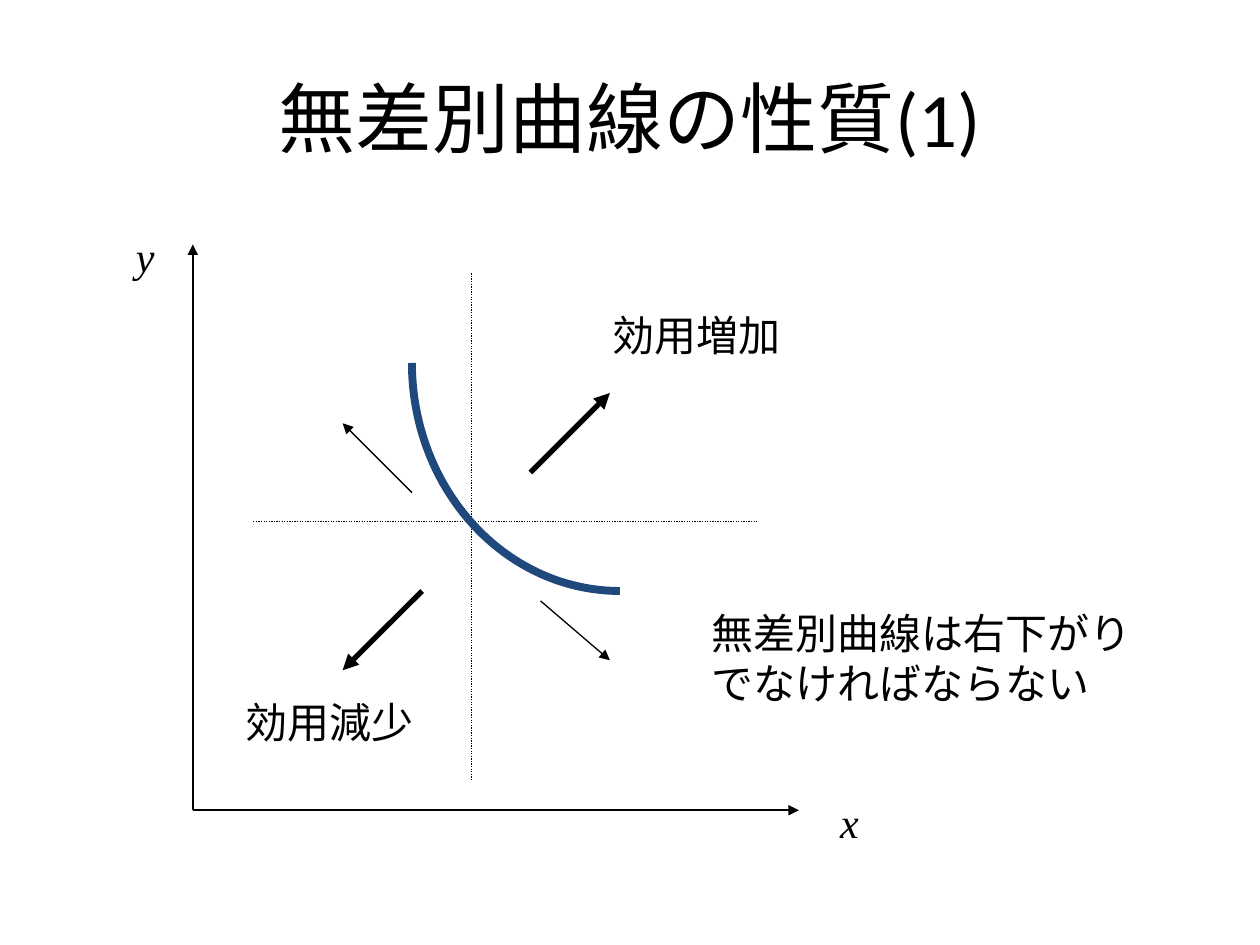
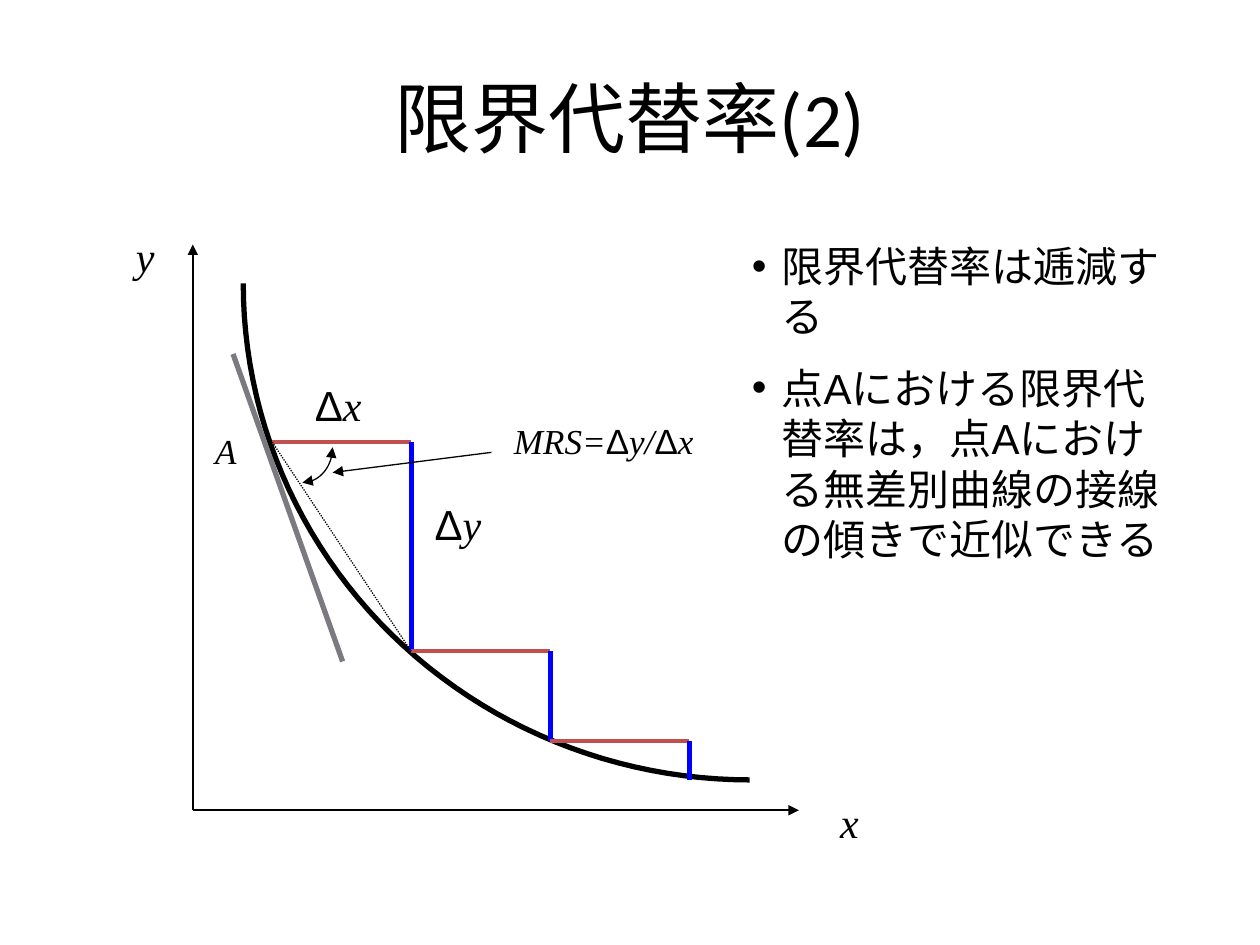
"""Build two slides on indifference curves and the marginal rate of substitution."""
import math
from itertools import pairwise

from lxml import etree
from pptx import Presentation
from pptx import util as u
from pptx.dml.color import RGBColor
from pptx.enum import dml, shapes, text
from pptx.oxml.ns import qn

COLORS = {"ink": "000000", "curve": "1F497D", "run": "C0504D", "rise": "0000FF", "tangent": "7C7981"}
SANS = {"name": "Arial", "italic": False}
SERIF = {"name": "Times New Roman", "italic": True}
TITLE = {"name": "Calibri", "italic": False}
DOTTED = {"width": 0.75, "dash": dml.MSO_LINE.ROUND_DOT}
THICK_ARROW = {"width": 3, "tail": True}
THIN_ARROW = {"width": 0.75, "tail": True}
CURVE_STEPS = 48


class Sketch:
    """Hold the deck, its shared style and the current page."""

    def __init__(self):
        self.deck = Presentation()
        self.deck.slide_width, self.deck.slide_height = u.Pt(720), u.Pt(540)
        self.page = None

    def new_page(self, title):
        self.page = self.deck.slides.add_slide(self.deck.slide_layouts[6])
        self.label((36, 21.6, 648, 90), [[(title, TITLE)]], size=44,
                   align=text.PP_ALIGN.CENTER, anchor=text.MSO_ANCHOR.MIDDLE)
        origin = (110.2, 463)
        self.line(origin, (456.5, 463), tail=True)
        self.line(origin, (110.2, 139.7), tail=True)
        self.label((473, 451.4, 28.1, 36), [[("x", SERIF)]])
        self.label((70.6, 128.2, 28.1, 36), [[("y", SERIF)]])

    def label(self, place, paragraphs, size=24, align=text.PP_ALIGN.LEFT,
              anchor=text.MSO_ANCHOR.TOP, bullets=False):
        box = self.page.shapes.add_textbox(*map(u.Pt, place))
        frame = box.text_frame
        frame.word_wrap, frame.vertical_anchor = True, anchor
        for index, spans in enumerate(paragraphs):
            para = frame.add_paragraph() if index else frame.paragraphs[0]
            para.alignment = align
            para.space_before = u.Pt(size / 2 if index else 0)
            if bullets:
                self.bullet(para)
            for words, style in spans:
                span = para.add_run()
                span.text = words
                span.font.color.rgb = RGBColor.from_string(COLORS["ink"])
                for key, value in {**style, "size": u.Pt(size)}.items():
                    setattr(span.font, key, value)

    def bullet(self, para, indent=17):
        properties = para._p.get_or_add_pPr()
        properties.set("marL", str(u.Pt(indent)))
        properties.set("indent", str(-u.Pt(indent)))
        etree.SubElement(properties, qn("a:buFont")).set("typeface", "Arial")
        etree.SubElement(properties, qn("a:buChar")).set("char", "•")

    def stroke(self, item, color="ink", width=1, dash=None, head=False, tail=False):
        item.line.color.rgb = RGBColor.from_string(COLORS[color])
        for key, value in {"width": u.Pt(width), "dash_style": dash}.items():
            setattr(item.line, key, value)
        properties = item.element.spPr
        for tag, wanted in (("a:headEnd", head), ("a:tailEnd", tail)):
            if wanted:
                etree.SubElement(properties.find(qn("a:ln")), qn(tag)).set("type", "triangle")
        etree.SubElement(properties, qn("a:effectLst"))

    def line(self, start, end, **style):
        connector = self.page.shapes.add_connector(
            shapes.MSO_CONNECTOR.STRAIGHT, *map(u.Pt, (*start, *end)))
        self.stroke(connector, **style)

    def quarter_arc(self, center, radii, **style):
        angles = [math.pi / 2 * (1 - step / CURVE_STEPS) for step in range(CURVE_STEPS + 1)]
        points = [(u.Pt(center[0] + radii[0] * math.cos(angle)),
                   u.Pt(center[1] + radii[1] * math.sin(angle))) for angle in angles]
        builder = self.page.shapes.build_freeform(*points[0])
        builder.add_line_segments(points[1:], close=False)
        curve = builder.convert_to_shape()
        curve.fill.background()
        self.stroke(curve, **style)


def draw_properties(sketch):
    sketch.new_page("無差別曲線の性質(1)")
    sketch.line((144.7, 298.1), (433.4, 298.1), **DOTTED)
    sketch.line((269.3, 156.2), (269.3, 445.7), **DOTTED)
    sketch.line((303.1, 270), (348.5, 224.6), **THICK_ARROW)
    sketch.line((241.2, 337.7), (195.8, 383), **THICK_ARROW)
    sketch.quarter_arc((354.2, 207.4), (-118.8, 130.3), color="curve", width=4.5)
    sketch.line((308.9, 343.4), (348.5, 377.3), **THIN_ARROW)
    sketch.line((235.4, 281.5), (195.8, 241.9), **THIN_ARROW)
    for place, words in (
        ((342.7, 173.5, 124.6, 36), "効用増加"),
        ((133.2, 394.6, 113, 36), "効用減少"),
        ((399.6, 343.4, 260.6, 64.8), "無差別曲線は右下がりでなければならない"),
    ):
        sketch.label(place, [[(words, SANS)]])


def draw_substitution(sketch):
    sketch.new_page("限界代替率(2)")
    sketch.quarter_arc((428.4, 162), (-289.4, 283.7), width=3)
    first_x, step_x = 155.6, 79.4
    levels = [252.7, 372.2, 423.4, 445.7]
    for index, (top, bottom) in enumerate(pairwise(levels)):
        left = first_x + index * step_x
        right = left + step_x
        sketch.line((left, top), (right, top), color="run", width=2.25)
        sketch.line((right, top), (right, bottom), color="rise", width=3)
    sketch.line((first_x, levels[0]), (first_x + step_x, levels[1]), **DOTTED)
    sketch.quarter_arc((172.8, 255.6), (17.3, 20.2), head=True, **THIN_ARROW)
    sketch.line((280.8, 258.5), (190.1, 270), **THIN_ARROW)
    sketch.line((133.2, 202.3), (195.8, 378), color="tangent", width=3)
    delta = ("Δ", SANS)
    sketch.label((172.8, 213.1, 51.1, 36), [[delta, ("x", SERIF)]])
    sketch.label((241.2, 281.5, 56.9, 36), [[delta, ("y", SERIF)]])
    sketch.label((286.6, 236.2, 130.3, 31),
                 [[("MRS=", SERIF), delta, ("y/", SERIF), delta, ("x", SERIF)]], size=20)
    sketch.label((115.9, 241.9, 28.1, 31), [[("A", SERIF)]], size=20)
    sketch.label((422.6, 133.9, 254.9, 194.4), [
        [("限界代替率は逓減する", SANS)],
        [("点Aにおける限界代替率は，点Aにおける無差別曲線の接線の傾きで近似できる", SANS)],
    ], bullets=True)


def main():
    sketch = Sketch()
    draw_properties(sketch)
    draw_substitution(sketch)
    sketch.deck.save("out.pptx")


if __name__ == "__main__":
    main()
